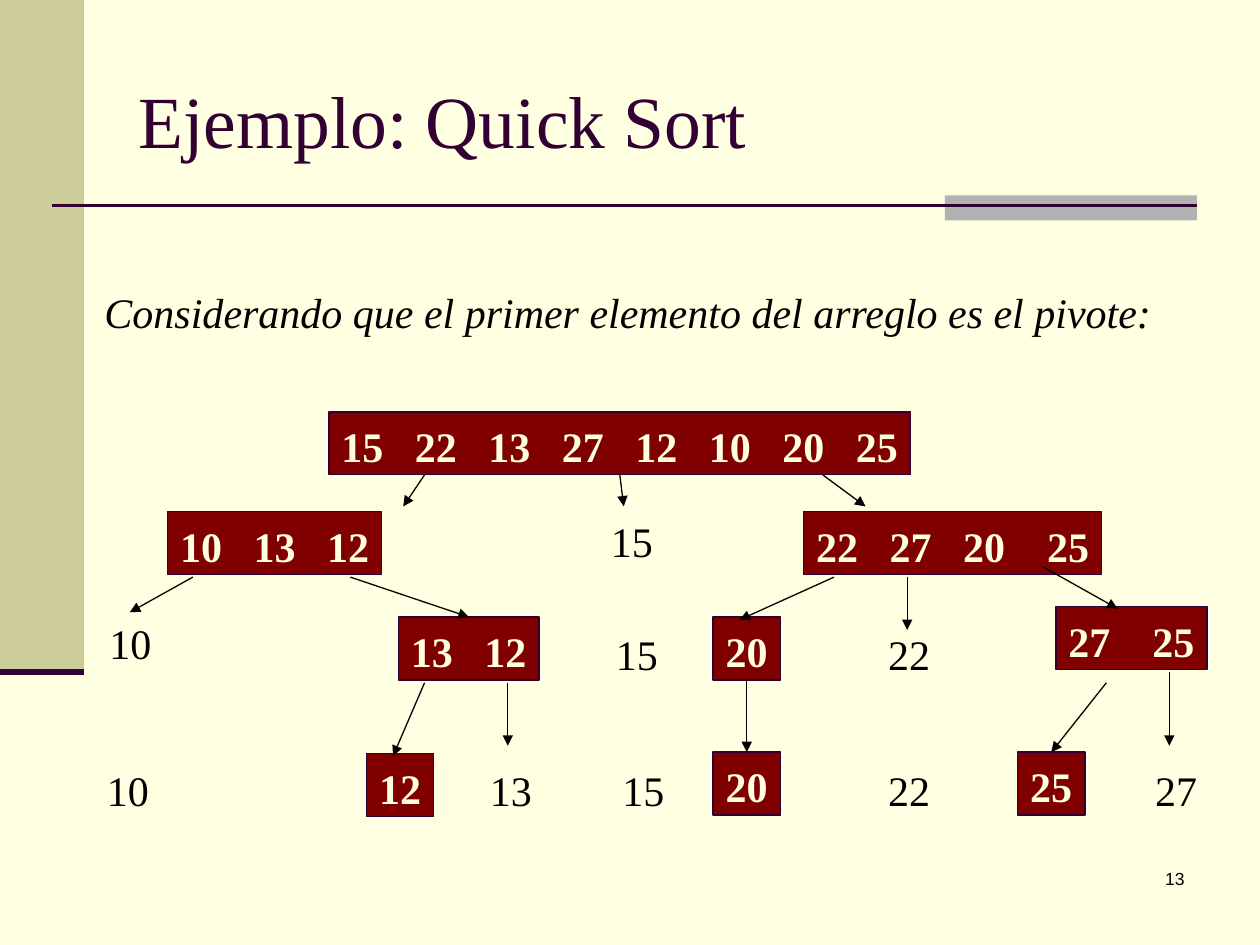
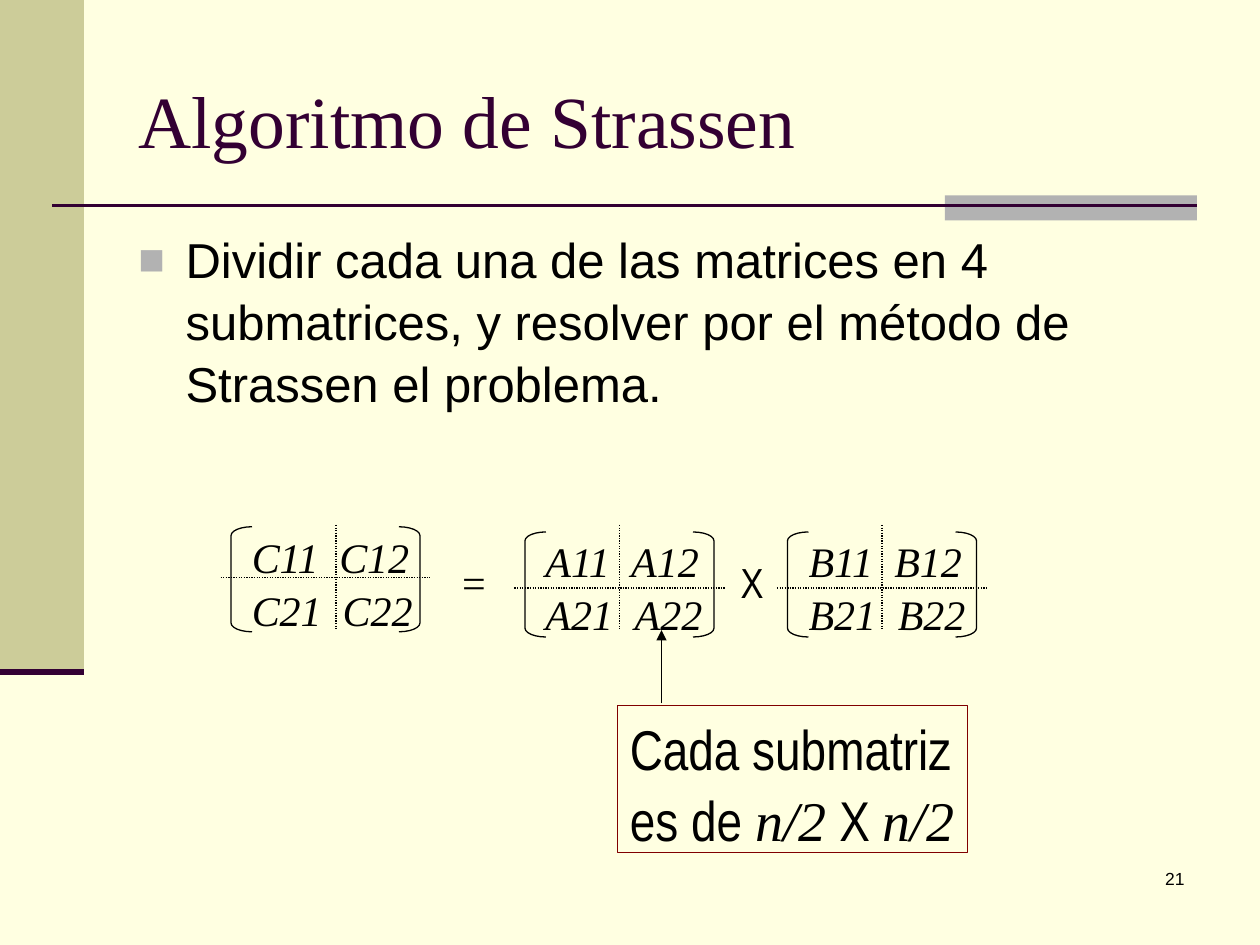
"""Builds two slides: a Quick Sort call tree and the Strassen block product."""
from lxml import etree
from pptx import Presentation
from pptx.dml.color import RGBColor
from pptx.enum.dml import MSO_LINE
from pptx.enum.shapes import MSO_CONNECTOR, MSO_SHAPE
from pptx.enum.text import MSO_ANCHOR, PP_ALIGN
from pptx.oxml.ns import qn
from pptx.util import Pt

RECT, LEFT, RIGHT = MSO_SHAPE.RECTANGLE, MSO_SHAPE.LEFT_BRACKET, MSO_SHAPE.RIGHT_BRACKET
LINE, DOTS = MSO_CONNECTOR.STRAIGHT, MSO_LINE.ROUND_DOT
MIDDLE, END = MSO_ANCHOR.MIDDLE, PP_ALIGN.RIGHT

CREAM, OLIVE, GREY, PLUM, MAROON, BLACK = (
    "FFFFE1", "CCCC99", "B2B2B2", "330033", "800000", "000000")
SERIF, SANS, NARROW = "Times New Roman", "Arial", "Arial Narrow"
STEP, DIGITS, PAD, HIGH, NEAR = 42, 24, 7.2, 36, 4

LEAD = "Considerando que el primer elemento del arreglo es el pivote:"
# left, top, values, distance to the last value
ARRAYS = [
    (188, 235.4, "15 22 13 27 12 10 20 25", STEP),
    (95.8, 292.3, "10 13 12", STEP),
    (459.2, 292.3, "22 27 20 25", 48),
    (227.7, 352.6, "13 12", STEP),
    (407.5, 352.6, "20", STEP),
    (603.4, 346.6, "27 25", 48),
    (209.5, 430.6, "12", STEP),
    (407.5, 429.8, "20", STEP),
    (581.6, 429.8, "25", STEP),
]
PIVOTS = [
    (289.4, [(342, "15")]),
    (347.8, [(55.4, "10")]),
    (354, [(344.9, "15"), (500.4, "22")]),
    (432, [(54, "10"), (272.9, "13"), (348.5, "15"), (500.4, "22"), (653, "27")]),
]
# start height, end height, pairs of start and end across
CALLS = [
    (271.4, 289.4, [(242.6, 230.4), (356.4, 356.4), (470.2, 494.6)]),
    (329.8, 349.9, [(110.2, 74.2), (200.2, 266.4)]),
    (329.8, 354.2, [(476.6, 422.6)]),
    (329.8, 360, [(518.4, 518.4)]),
    (324, 347.8, [(596.2, 638.6)]),
    (390.2, 432, [(242.6, 224.6), (428.4, 428.4), (632.2, 602.6)]),
    (390.2, 426.2, [(290.2, 290.2)]),
    (383.8, 426.2, [(668.2, 668.2)]),
]

TASK = ("Dividir cada una de las matrices en 4 submatrices, "
        "y resolver por el método de Strassen el problema.")
# name, bracket left and top, text left and top, column stop, cross centre
BLOCKS = [
    ("C", 132, 301, 136.8, 298.8, 50, 192, 330),
    ("A", 300, 304, 304.6, 301, 49, 354, 336),
    ("B", 450, 304, 455, 301, 49, 504, 336),
]
SIGNS = [("=", 257, SERIF), ("X", 416.2, NARROW)]
NOTE = [
    [("Cada submatriz", NARROW, False)],
    [("es de ", NARROW, False), ("n/2", SERIF, True),
     (" X ", NARROW, False), ("n/2", SERIF, True)],
]


def color(code):
    return RGBColor.from_string(code)


def child(node, tag, **attrs):
    return etree.SubElement(node, qn(tag), {k: str(v) for k, v in attrs.items()})


def shape(slide, kind, left, top, wide, high, fill=None, edge=None):
    item = slide.shapes.add_shape(kind, Pt(left), Pt(top), Pt(wide), Pt(high))
    item.shadow.inherit = False
    if fill:
        item.fill.solid()
        item.fill.fore_color.rgb = color(fill)
    else:
        item.fill.background()
    if edge:
        item.line.color.rgb = color(edge)
        item.line.width = Pt(0.75)
    else:
        item.line.fill.background()
    return item


def line(slide, x1, y1, x2, y2, tint=BLACK, width=0.75, dash=None, head=False):
    item = slide.shapes.add_connector(LINE, Pt(x1), Pt(y1), Pt(x2), Pt(y2))
    item.line.color.rgb = color(tint)
    item.line.width = Pt(width)
    if dash:
        item.line.dash_style = dash
    if head:
        child(item.line._get_or_add_ln(), "a:tailEnd", type="triangle")
    child(item._element.spPr, "a:effectLst")
    return item


def write(item, rows, size, tint=BLACK, bold=False, stops=(), anchor=None,
          align=None, bullet=None):
    """Fills a shape with rows of (text, font, italic) runs; stops holds tabs per row."""
    frame = item.text_frame
    frame.word_wrap = True
    frame.margin_left, frame.margin_right = Pt(PAD), Pt(PAD if align else 0)
    frame.margin_top = frame.margin_bottom = Pt(PAD / 2)
    frame.vertical_anchor = anchor or MSO_ANCHOR.TOP
    for i, runs in enumerate(rows):
        para = frame.paragraphs[0] if i == 0 else frame.add_paragraph()
        props = para._p.get_or_add_pPr()
        if bullet:
            props.set("marL", str(Pt(27)))
            props.set("indent", str(-Pt(27)))
            child(child(props, "a:buClr"), "a:srgbClr", val=GREY)
            child(props, "a:buSzPct", val=90000)
            child(props, "a:buFont", typeface=SANS)
            child(props, "a:buChar", char=bullet)
        if stops:
            tabs = child(props, "a:tabLst")
            for stop in stops[i]:
                child(tabs, "a:tab", pos=Pt(stop), algn="l")
        para.alignment = align or PP_ALIGN.LEFT
        para.line_spacing = 1.05
        for text, face, slant in runs:
            run = para.add_run()
            run.text = text
            font = run.font
            font.name, font.size, font.bold, font.italic = face, Pt(size), bold, slant
            font.color.rgb = color(tint)


def label(slide, left, top, wide, high, text, size=24, face=SERIF, slant=False, **style):
    box = slide.shapes.add_textbox(Pt(left), Pt(top), Pt(wide), Pt(high))
    write(box, [[(text, face, slant)]], size, **style)


def base(deck, title, page):
    slide = deck.slides.add_slide(deck.slide_layouts[6])
    slide.background.fill.solid()
    slide.background.fill.fore_color.rgb = color(CREAM)
    shape(slide, RECT, 0, 0, 48, 384, OLIVE)
    shape(slide, RECT, 540, 111.6, 144, 14.4, GREY)
    line(slide, 30, 117.5, 684, 117.5, PLUM, 1.5)
    line(slide, 0, 384, 48, 384, PLUM, 3.5)
    label(slide, 72, 21.6, 612, 90, title, 42, tint=PLUM, anchor=MIDDLE)
    label(slide, 534, 492, 150, HIGH, page, 10, SANS, align=END)
    return slide


def join(link, boxes, start, end):
    """Joins each end of the link to a box whose side middle lies near it."""
    for box in boxes:
        mid = box.left + box.width // 2
        sides = [(box.top, 0), (box.top + box.height, 2)]
        for (x, y), tie in ((start, link.begin_connect), (end, link.end_connect)):
            for edge, site in sides:
                if abs(Pt(x) - mid) <= Pt(NEAR) and abs(Pt(y) - edge) <= Pt(NEAR):
                    tie(box, site)


def sort(deck):
    slide = base(deck, "Ejemplo: Quick Sort", "13")
    label(slide, 52.6, 159, 614, HIGH, LEAD, slant=True)
    boxes = []
    for left, top, text, last in ARRAYS:
        values = text.split()
        stops = [STEP * i for i in range(1, len(values) - 1)]
        if len(values) > 1:
            stops.append(STEP * (len(values) - 2) + last)
        wide = max(stops, default=0) + DIGITS + 2 * PAD
        box = shape(slide, RECT, left, top, wide, HIGH, MAROON, PLUM)
        write(box, [[("\t".join(values), SERIF, False)]], 24, CREAM, True, [stops])
        boxes.append(box)
    for top, row in PIVOTS:
        for left, text in row:
            label(slide, left, top, DIGITS + 2 * PAD, HIGH, text)
    for y1, y2, pairs in CALLS:
        for x1, x2 in pairs:
            link = line(slide, x1, y1, x2, y2, head=True)
            join(link, boxes, (x1, y1), (x2, y2))


def strassen(deck):
    slide = base(deck, "Algoritmo de Strassen", "21")
    label(slide, 72, 126, 612, 356, TASK, 28, SANS, bullet="■")
    for name, left, top, x, y, stop, across, down in BLOCKS:
        box = slide.shapes.add_textbox(Pt(x), Pt(y), Pt(108), Pt(65))
        rows = [[(f"{name}{i}1\t{name}{i}2", SERIF, True)] for i in (1, 2)]
        write(box, rows, 24, stops=[[stop], [stop + 2]])
        for kind, shift in ((LEFT, 0), (RIGHT, 96)):
            curve = shape(slide, kind, left + shift, top, 12, 60, edge=BLACK)
            curve.adjustments[0] = 0.42
        line(slide, across, 300, across, 360, dash=DOTS)
        line(slide, left - 6, down, left + 114, down, dash=DOTS)
    for text, left, face in SIGNS:
        label(slide, left, 313.2, 28, HIGH, text, face=face)
    write(shape(slide, RECT, 352.8, 403, 200, 84, edge=MAROON), NOTE, 32)
    line(slide, 378, 402, 378, 360, head=True)


def main():
    deck = Presentation()
    deck.slide_width, deck.slide_height = Pt(720), Pt(540)
    sort(deck)
    strassen(deck)
    deck.save("out.pptx")


if __name__ == "__main__":
    main()
